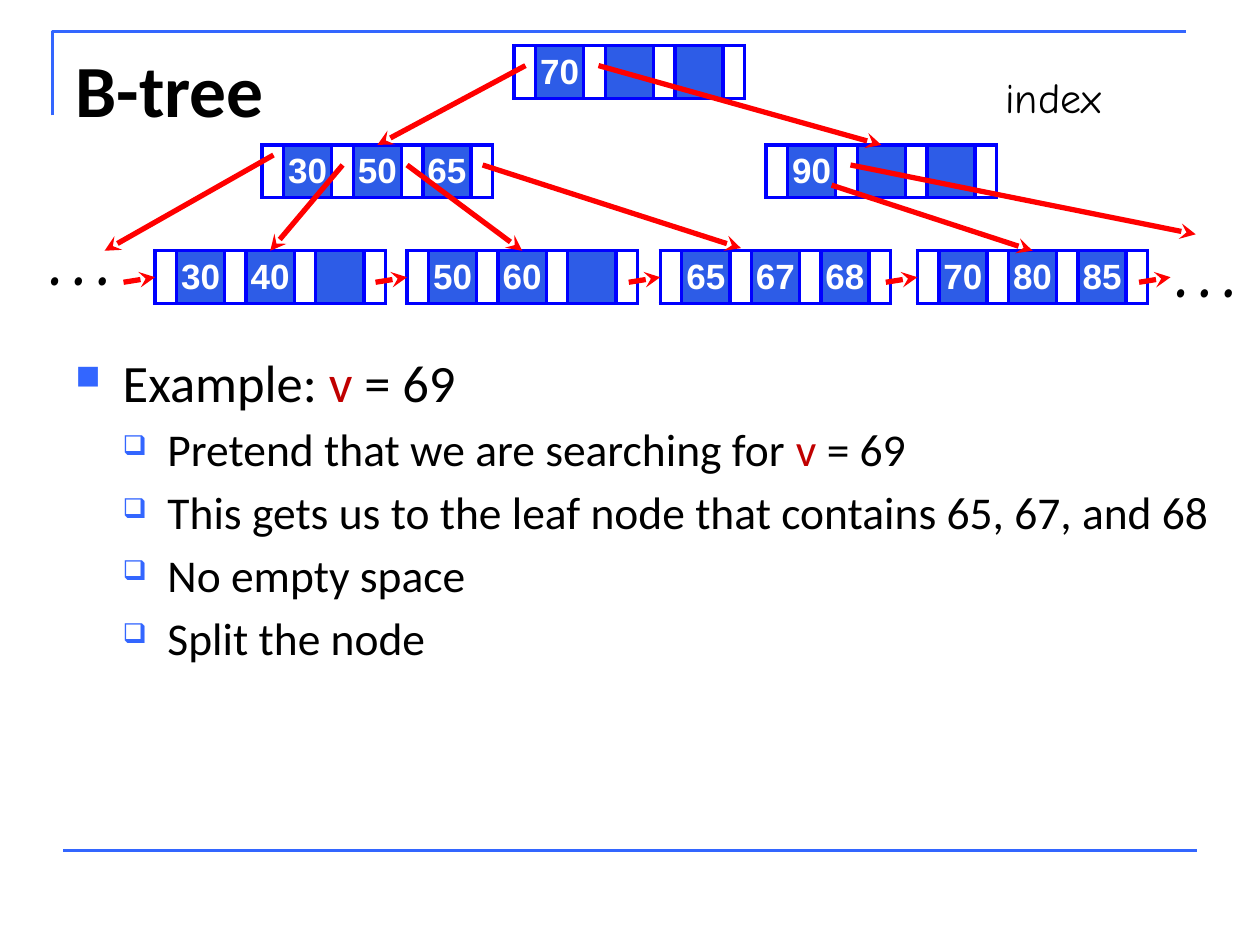
from lxml import etree
from pptx import Presentation
from pptx.dml.color import RGBColor
from pptx.enum.shapes import MSO_CONNECTOR
from pptx.enum.text import MSO_ANCHOR, MSO_AUTO_SIZE, PP_ALIGN
from pptx.oxml.ns import qn
from pptx.util import Pt

LINE = MSO_CONNECTOR.STRAIGHT
MIDDLE = MSO_ANCHOR.MIDDLE
CENTER = PP_ALIGN.CENTER
GROW = MSO_AUTO_SIZE.SHAPE_TO_FIT_TEXT

BLACK = RGBColor(0, 0, 0)
WHITE = RGBColor(255, 255, 255)
RULE = RGBColor(0x33, 0x66, 0xFF)
BORDER = RGBColor(0, 0, 255)
KEY = RGBColor(0x2D, 0x5C, 0xE7)
RED = RGBColor(255, 0, 0)
DARK = RGBColor(0xC0, 0, 0)

# Node geometry: narrow pointer cells between wide key cells
PTR, WIDE, TALL = 12.3, 27.5, 30.24
NODE = 4 * PTR + 3 * WIDE


def add_sub(parent, tag, **attrs):
    return etree.SubElement(parent, qn(tag), attrs)


def add_color(parent, color):
    add_sub(parent, "a:srgbClr", val=str(color))


def set_font(para, name, size, color, bold=False):
    font = para.font
    font.name, font.size, font.bold = name, Pt(size), bold
    font.color.rgb = color


def add_line(slide, start, end, color, width, arrow=False):
    line = slide.shapes.add_connector(LINE, *map(Pt, (*start, *end)))
    line.line.color.rgb = color
    line.line.width = Pt(width)
    if arrow:
        add_sub(line.line._get_or_add_ln(), "a:tailEnd", type="stealth")
    add_sub(line._element.spPr, "a:effectLst")


def add_label(slide, box, text, name, size, bold=False, wrap=True):
    frame = slide.shapes.add_textbox(*map(Pt, box)).text_frame
    frame.word_wrap = wrap
    frame.auto_size = GROW
    para = frame.paragraphs[0]
    para.text = text
    set_font(para, name, size, BLACK, bold)


def add_frame(slide, box):
    """Corner rule at the top and a line at the foot."""
    x, y, w, h = box
    path = slide.shapes.build_freeform(Pt(x), Pt(y + 48))
    path.add_line_segments([(Pt(x), Pt(y)), (Pt(x + 648), Pt(y))], close=False)
    shape = path.convert_to_shape()
    shape.shadow.inherit = False
    shape.fill.background()
    shape.line.color.rgb = RULE
    shape.line.width = Pt(1.5)
    add_line(slide, (x + 6, y + h), (x + w, y + h), RULE, 1.5)


def add_border(cell):
    props = cell._tc.get_or_add_tcPr()
    for side in "LRTB":
        edge = add_sub(props, "a:ln" + side, w=str(Pt(2.25)))
        add_color(add_sub(edge, "a:solidFill"), BORDER)


def add_node(slide, x, y, keys):
    table = slide.shapes.add_table(1, 7, Pt(x), Pt(y), Pt(NODE), Pt(TALL)).table
    table.first_row = table.horz_banding = False
    for i, col in enumerate(table.columns):
        col.width = Pt(WIDE if i % 2 else PTR)
        cell = table.cell(0, i)
        cell.margin_left = cell.margin_right = 0
        cell.margin_top = cell.margin_bottom = 0
        cell.vertical_anchor = MIDDLE
        add_border(cell)
        if i % 2 == 0:
            cell.fill.background()
            continue
        cell.fill.solid()
        cell.fill.fore_color.rgb = KEY
        if i // 2 < len(keys):
            para = cell.text_frame.paragraphs[0]
            para.text = keys[i // 2]
            para.alignment = CENTER
            set_font(para, "Arial", 20, WHITE, True)


def add_tree(slide, box):
    """Three levels of nodes, joined by pointers."""
    left, top = box[:2]
    root, mids, leaves = 273.8, (129.8, 417.8), (68.6, 212.6, 357.3, 504.2)
    mid_y, leaf_y = 56.8, 117.3
    half = NODE / 2
    nodes = [
        (root, 0, ["70"]),
        (mids[0], mid_y, ["30", "50", "65"]),
        (mids[1], mid_y, ["90"]),
        (leaves[0], leaf_y, ["30", "40"]),
        (leaves[1], leaf_y, ["50", "60"]),
        (leaves[2], leaf_y, ["65", "67", "68"]),
        (leaves[3], leaf_y, ["70", "80", "85"]),
    ]
    for x, y, keys in nodes:
        add_node(slide, left + x, top + y, keys)

    # Child pointers: node corner, offset inside the node, tip
    links = [
        (root, 0, 6.5, 11.5, mids[0] + half, mid_y),
        (root, 0, 48.2, 11.5, mids[1] + half, mid_y),
        (mids[0], mid_y, 6.5, 5.8, 39.8, leaf_y),
        (mids[0], mid_y, 46, 11.5, leaves[0] + half, leaf_y),
        (mids[0], mid_y, 82.8, 11.5, leaves[1] + half, leaf_y),
        (mids[0], mid_y, 126, 11.5, 403.4, leaf_y - 1.5),
        (mids[1], mid_y, 37.4, 23, leaves[3] + half, leaf_y),
        (mids[1], mid_y, 48.2, 11.5, 663.3, 107.9),
    ]
    for x, y, dx, dy, tip_x, tip_y in links:
        add_line(slide, (left + x + dx, top + y + dy),
                 (left + tip_x, top + tip_y), RED, 3, True)

    # Sibling pointers along the leaves
    for tip in (*leaves, 648.9):
        add_line(slide, (left + tip - 18, top + leaf_y + 18),
                 (left + tip, top + leaf_y + 15.1), RED, 3, True)

    # Labels
    add_label(slide, (left + 547.4, top + 11.4, 75.6, 36), "index",
              "Comic Neue", 24, wrap=False)
    for x, y in ((0.2, 79.8), (643.8, 86.3)):
        add_label(slide, (left + x, top + y, 53.3, 72.7), "…", "Comic Neue", 54)


def add_bullet(para, mark, size, margin, indent):
    props = para._p.get_or_add_pPr()
    props.set("marL", str(Pt(margin)))
    props.set("indent", str(Pt(-indent)))
    add_color(add_sub(props, "a:buClr"), RULE)
    add_sub(props, "a:buSzPct", val=str(size * 1000))
    add_sub(props, "a:buChar", char=mark)


def add_body(slide, box):
    """Example with its steps; v stands out in red."""
    rows = [
        (0, ["Example: ", "v", " = 69"]),
        (1, ["Pretend that we are searching for ", "v", " = 69"]),
        (1, ["This gets us to the leaf node that contains 65, 67, and 68"]),
        (1, ["No empty space"]),
        (1, ["Split the node"]),
    ]
    styles = [("■", 65, 27, 27, 30), ("❑", 60, 52.6, 25.6, 26)]
    frame = slide.shapes.add_textbox(*map(Pt, box)).text_frame
    frame.word_wrap = True
    for i, (level, parts) in enumerate(rows):
        para = frame.add_paragraph() if i else frame.paragraphs[0]
        para.level = level
        *bullet, size = styles[level]
        add_bullet(para, *bullet)
        if i:
            para.space_before = Pt(4.7)
        set_font(para, "Calibri", size, BLACK)
        for part in parts:
            run = para.add_run()
            run.text = part
            if part == "v":
                run.font.color.rgb = DARK


def main():
    deck = Presentation()
    deck.slide_width, deck.slide_height = Pt(720), Pt(540)
    slide = deck.slides.add_slide(deck.slide_layouts[6])
    add_frame(slide, (30, 18, 654, 468))
    add_label(slide, (36, 21.6, 648, 90), "B-tree", "Calibri", 42, bold=True)
    add_body(slide, (36, 196.6, 663.8, 289.4))
    add_tree(slide, (20, 26, 697, 150))
    deck.save("out.pptx")


if __name__ == "__main__":
    main()
